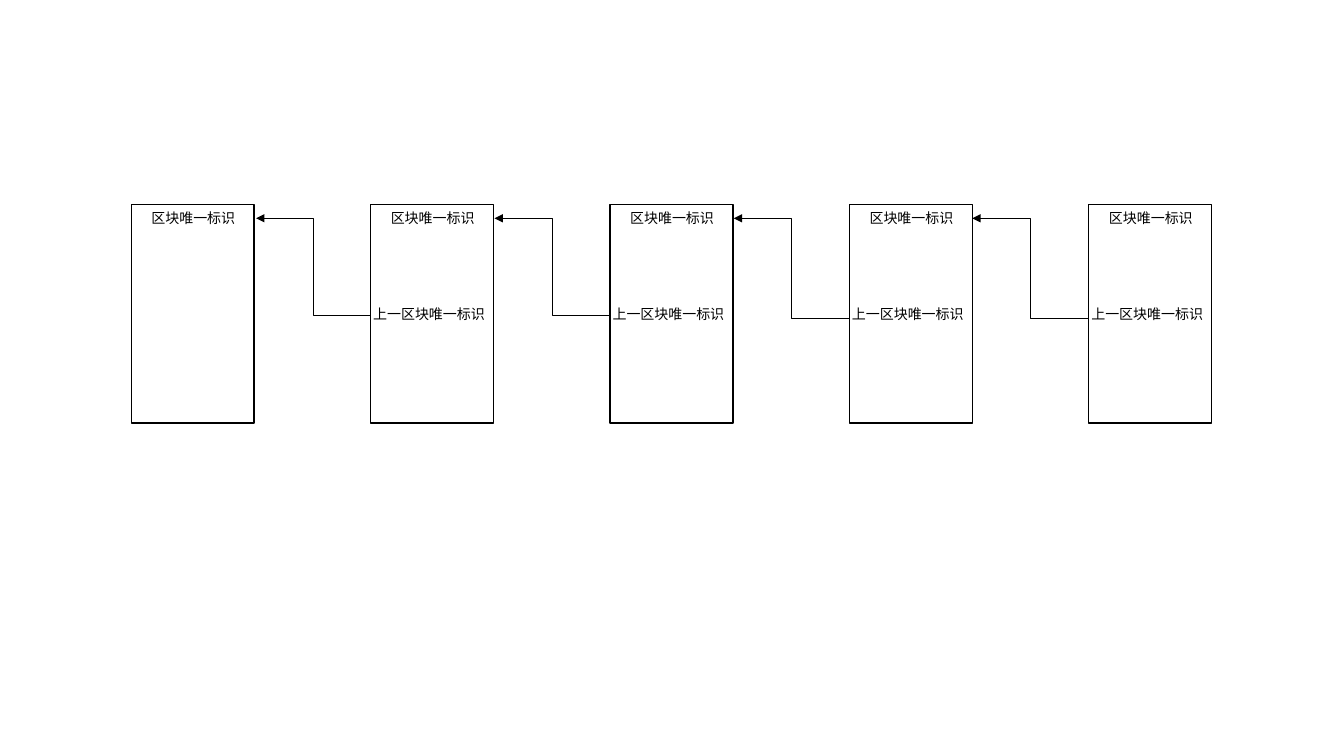
from lxml.etree import SubElement
from pptx import Presentation
from pptx.dml.color import RGBColor
from pptx.enum.shapes import MSO_CONNECTOR, MSO_SHAPE
from pptx.enum.text import MSO_AUTO_SIZE, PP_ALIGN
from pptx.oxml.ns import qn
from pptx.util import Emu, Pt

PX = 9525  # 96 px to the inch
BLACK = RGBColor(0, 0, 0)
FONT = "Noto Sans CJK SC"
LABEL_FONT = {"name": FONT, "size": Pt(10)}
LABEL_FRAME = {"word_wrap": False, "auto_size": MSO_AUTO_SIZE.SHAPE_TO_FIT_TEXT}

CHAIN_LEFT, CHAIN_TOP = 125, 195
BLOCK_WIDTH, BLOCK_HEIGHT, BLOCK_PITCH = 117, 208, 228
BLOCK_COUNT = 5
LABEL_HEIGHT = 26
ARROW_END_Y = 13
# For each link: its start below the block top, and the gap at its arrowhead
LINKS = [(105, 2), (105, 1), (108, 1), (108, 0)]


def px(*lengths):
    return [Emu(length * PX) for length in lengths]


def set_values(target, values):
    for name, value in values.items():
        setattr(target, name, value)


def add_label(slide, box, text, alignment):
    text_box = slide.shapes.add_textbox(*px(*box))
    set_values(text_box.text_frame, LABEL_FRAME)
    paragraph = text_box.text_frame.paragraphs[0]
    paragraph.alignment = alignment
    run = paragraph.add_run()
    run.text = text
    set_values(run.font, LABEL_FONT)
    run.font.color.rgb = BLACK
    SubElement(run.font._element, qn("a:ea"), typeface=FONT)


def add_block(slide, left, top, has_previous):
    block = slide.shapes.add_shape(
        MSO_SHAPE.RECTANGLE, *px(left, top, BLOCK_WIDTH, BLOCK_HEIGHT))
    block.shadow.inherit = False
    block.fill.background()
    block.line.color.rgb = BLACK
    block.line.width = Pt(1)
    add_label(slide, (left + 8, top, 102, LABEL_HEIGHT),
              "区块唯一标识", PP_ALIGN.CENTER)
    if has_previous:
        add_label(slide, (left - 7, top + 91, 130, LABEL_HEIGHT),
                  "上一区块唯一标识", PP_ALIGN.LEFT)


def add_link(slide, left, top, start_y, gap):
    """Elbow arrow from the block at left back to the block before it."""
    arrow_x = left - BLOCK_PITCH + BLOCK_WIDTH + gap
    link = slide.shapes.add_connector(
        MSO_CONNECTOR.ELBOW,
        *px(left, top + start_y, arrow_x, top + ARROW_END_Y))
    link.line.color.rgb = BLACK
    link.line.width = Pt(0.5)
    SubElement(link.line._get_or_add_ln(), qn("a:tailEnd"), type="triangle")
    SubElement(link._element.spPr, qn("a:effectLst"))


def add_chain(slide, left, top):
    block_lefts = [left + index * BLOCK_PITCH for index in range(BLOCK_COUNT)]
    for index, block_left in enumerate(block_lefts):
        add_block(slide, block_left, top, has_previous=index > 0)
    for block_left, (start_y, gap) in zip(block_lefts[1:], LINKS):
        add_link(slide, block_left, top, start_y, gap)


def main():
    presentation = Presentation()
    presentation.slide_width, presentation.slide_height = px(1280, 720)
    slide = presentation.slides.add_slide(presentation.slide_layouts[6])
    add_chain(slide, CHAIN_LEFT, CHAIN_TOP)
    presentation.save("out.pptx")


if __name__ == "__main__":
    main()
